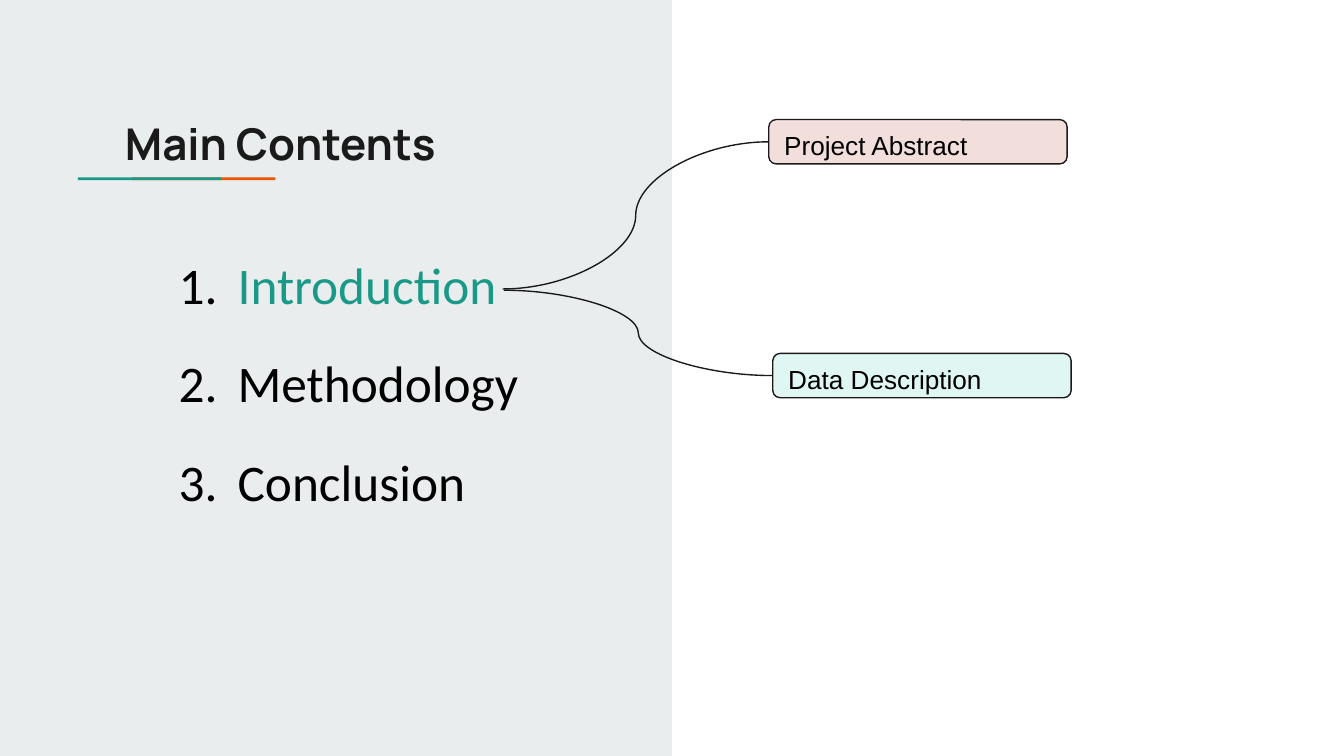
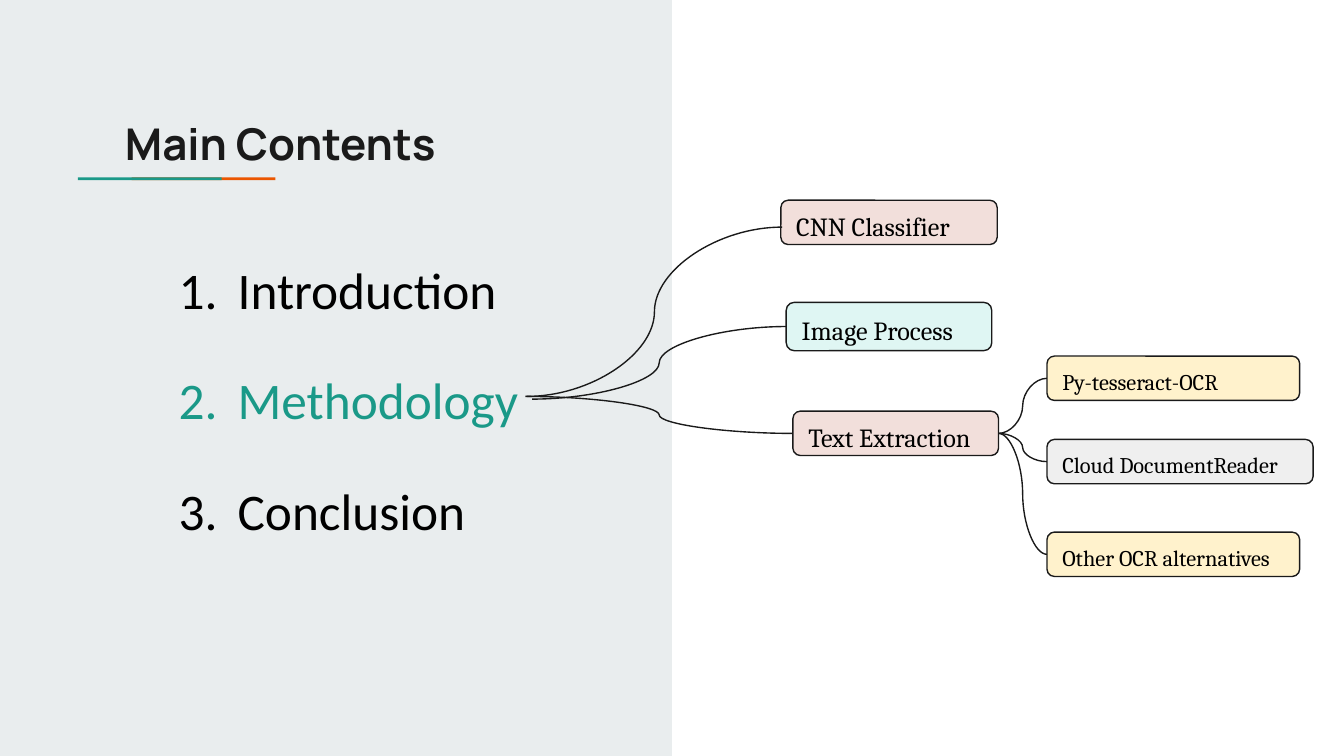
from dataclasses import dataclass

from lxml import etree
from pptx import Presentation
from pptx.dml.color import RGBColor
from pptx.enum.shapes import MSO_CONNECTOR as Connector, MSO_SHAPE as Shape
from pptx.enum.text import MSO_ANCHOR as Anchor, MSO_AUTO_SIZE as AutoSize, PP_ALIGN as Align
from pptx.oxml.ns import qn
from pptx.util import Inches, Pt

INK = RGBColor(0x1A, 0x1A, 0x1A)
BLACK = RGBColor(0x00, 0x00, 0x00)
PANEL = RGBColor(0xE9, 0xED, 0xEE)
TEAL = RGBColor(0x1A, 0x99, 0x88)
ORANGE = RGBColor(0xEB, 0x56, 0x00)
ROSE = RGBColor(0xF2, 0xDF, 0xDB)
MINT = RGBColor(0xDF, 0xF6, 0xF3)
CREAM = RGBColor(0xFF, 0xF2, 0xCC)
SILVER = RGBColor(0xEF, 0xEF, 0xEF)

PAGE_WIDTH = 10
PAGE_HEIGHT = PAGE_WIDTH * 9 / 16
TITLE = "Main Contents"
CHAPTERS = ("Introduction", "Methodology", "Conclusion")
TITLE_ONLY = 5
LEFT_SIDE, RIGHT_SIDE = 1, 3


@dataclass(frozen=True)
class Band:
    left: float
    top: float
    width: float
    height: float
    color: RGBColor


@dataclass(frozen=True)
class Branch:
    label: str
    left: float
    top: float
    width: float
    color: RGBColor
    hub: tuple[float, float] | None = None
    start: tuple[float, float] | None = None
    height: float = 0.33
    size: int = 14
    children: tuple["Branch", ...] = ()


@dataclass(frozen=True)
class Contents:
    current: str
    number_color: RGBColor
    line_spacing: float
    gap: float
    font: str
    branches: tuple[Branch, ...]


BANDS = (
    Band(0, 0, PAGE_WIDTH / 2, PAGE_HEIGHT, PANEL),
    Band(0.98, 1.32, 1.07, 0.02, ORANGE),
    Band(0.58, 1.32, 1.07, 0.02, TEAL),
)

PAGES = (
    Contents("Introduction", BLACK, 0.8, 26.4, "Arial", (
        Branch("Project Abstract", 5.72, 0.89, 2.22, ROSE, (3.74, 2.15)),
        Branch("Data Description", 5.75, 2.63, 2.22, MINT, (3.75, 2.16)),
    )),
    Contents("Methodology", TEAL, 0.9, 29.6, "Cambria", (
        Branch("CNN Classifier", 5.81, 1.49, 1.61, ROSE, (3.92, 2.95), (5.82, 1.69)),
        Branch("Image Process", 5.85, 2.25, 1.53, MINT, (3.96, 2.97), height=0.36),
        Branch("Text Extraction", 5.9, 3.06, 1.53, ROSE, (3.91, 2.95), children=(
            Branch("Py-tesseract-OCR", 7.79, 2.65, 1.88, CREAM, size=12),
            Branch("Cloud DocumentReader", 7.79, 3.27, 1.98, SILVER, size=12),
            Branch("Other OCR alternatives", 7.79, 3.96, 1.88, CREAM, size=12),
        )),
    )),
)


def place(shape, left: float, top: float, width: float, height: float) -> None:
    shape.left, shape.top = Inches(left), Inches(top)
    shape.width, shape.height = Inches(width), Inches(height)


def set_frame(frame, anchor: Anchor, left: float, top: float, right: float, bottom: float) -> None:
    frame.word_wrap = True
    frame.auto_size = AutoSize.NONE
    frame.vertical_anchor = anchor
    frame.margin_left, frame.margin_top = Inches(left), Inches(top)
    frame.margin_right, frame.margin_bottom = Inches(right), Inches(bottom)


def set_font(para, name: str, size: float, color: RGBColor, bold: bool = False) -> None:
    para.alignment = Align.LEFT
    para.font.name = name
    para.font.size = Pt(size)
    para.font.bold = bold
    para.font.color.rgb = color


def add_bands(page, layout) -> None:
    for position, band in enumerate(BANDS, start=2):
        shape = page.shapes.add_shape(
            Shape.RECTANGLE, Inches(band.left), Inches(band.top),
            Inches(band.width), Inches(band.height))
        shape.shadow.inherit = False
        shape.fill.solid()
        shape.fill.fore_color.rgb = band.color
        shape.line.fill.background()
        layout.shapes.element.insert(position, shape.element)


def add_title(page) -> None:
    title = page.shapes.title
    place(title, 0.83, 0.77, 3.61, 1.85)
    title.text = TITLE
    set_frame(title.text_frame, Anchor.TOP, 0.1, 0.1, 0.1, 0.1)
    set_font(title.text_frame.paragraphs[0], "Manrope", 23.4, INK, bold=True)


def add_number(para, color: RGBColor) -> None:
    properties = para._p.get_or_add_pPr()
    properties.set("marL", str(Inches(0.5)))
    properties.set("indent", str(Inches(-0.44)))
    bullet_color = etree.SubElement(properties, qn("a:buClr"))
    etree.SubElement(bullet_color, qn("a:srgbClr"), val=str(color))
    etree.SubElement(properties, qn("a:buAutoNum"), type="arabicPeriod")


def add_chapters(page, contents: Contents) -> None:
    box = page.shapes.add_textbox(Inches(1.17), Inches(1.87), Inches(3.61), Inches(2.72))
    frame = box.text_frame
    set_frame(frame, Anchor.TOP, 0.1, 0.1, 0.1, 0.1)
    for index, chapter in enumerate(CHAPTERS):
        para = frame.paragraphs[0] if index == 0 else frame.add_paragraph()
        para.text = chapter
        para.line_spacing = contents.line_spacing
        para.space_after = Pt(contents.gap)
        is_current = chapter == contents.current
        add_number(para, contents.number_color if is_current else BLACK)
        set_font(para, "Calibri", 27.5, TEAL if is_current else BLACK)


def add_curve(page, start: tuple[float, float], end: tuple[float, float]):
    curve = page.shapes.add_connector(
        Connector.CURVE, *(Inches(length) for length in (*start, *end)))
    curve.line.color.rgb = INK
    curve.line.width = Pt(0.75)
    etree.SubElement(curve.element.spPr, qn("a:effectLst"))
    return curve


def add_branch(page, branch: Branch, font: str, parent=None) -> None:
    box = page.shapes.add_shape(
        Shape.ROUNDED_RECTANGLE, Inches(branch.left), Inches(branch.top),
        Inches(branch.width), Inches(branch.height))
    box.shadow.inherit = False
    box.fill.solid()
    box.fill.fore_color.rgb = branch.color
    box.line.color.rgb = INK
    box.line.width = Pt(0.75)
    set_frame(box.text_frame, Anchor.MIDDLE, 0.1, 0.05, 0.1, 0)
    para = box.text_frame.paragraphs[0]
    para.text = branch.label
    set_font(para, font, branch.size, BLACK)

    start = branch.start or (branch.left, branch.top + branch.height / 2)
    curve = add_curve(page, start, branch.hub or start)
    if branch.start is None:
        curve.begin_connect(box, LEFT_SIDE)
    if parent is not None:
        curve.end_connect(parent, RIGHT_SIDE)
    for child in branch.children:
        add_branch(page, child, font, box)


def main() -> None:
    deck = Presentation()
    deck.slide_width, deck.slide_height = Inches(PAGE_WIDTH), Inches(PAGE_HEIGHT)
    layout = deck.slide_layouts[TITLE_ONLY]
    for index, contents in enumerate(PAGES):
        page = deck.slides.add_slide(layout)
        if index == 0:
            add_bands(page, layout)
        add_title(page)
        add_chapters(page, contents)
        for branch in contents.branches:
            add_branch(page, branch, contents.font)
    deck.save("out.pptx")


if __name__ == "__main__":
    main()
